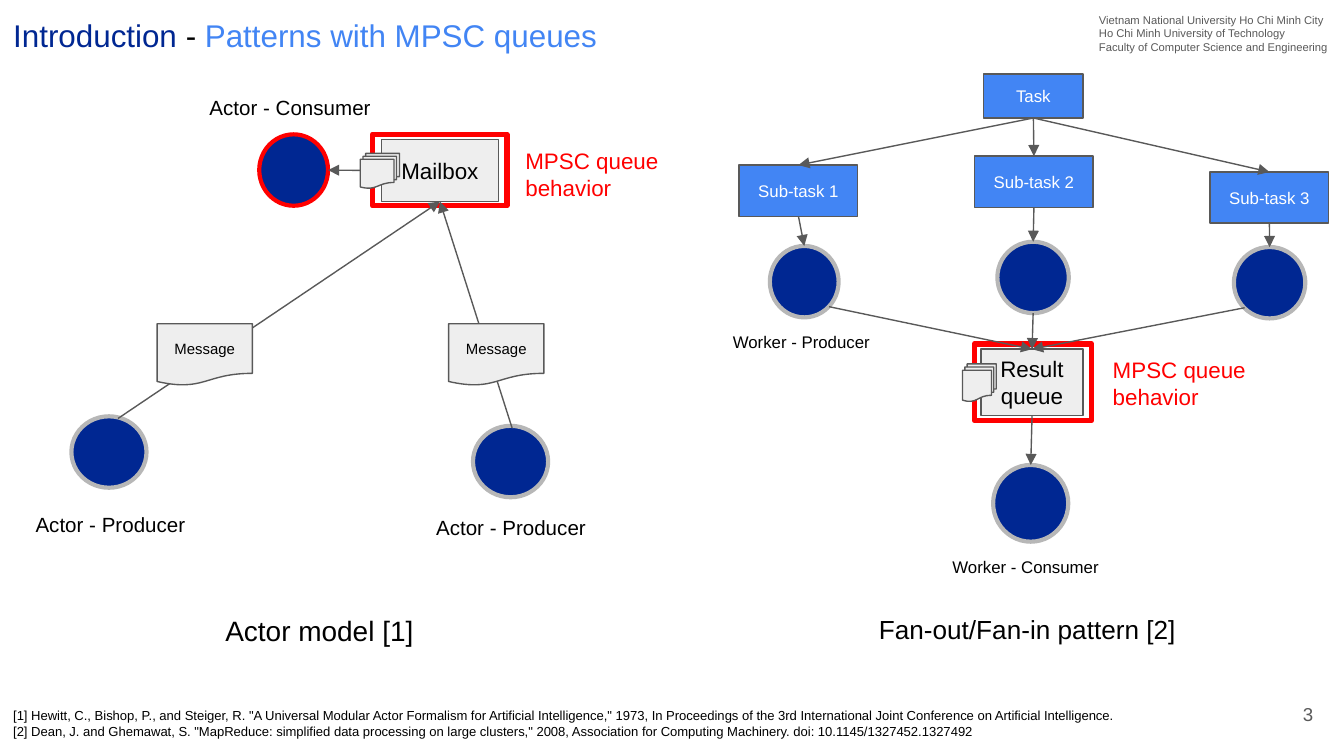
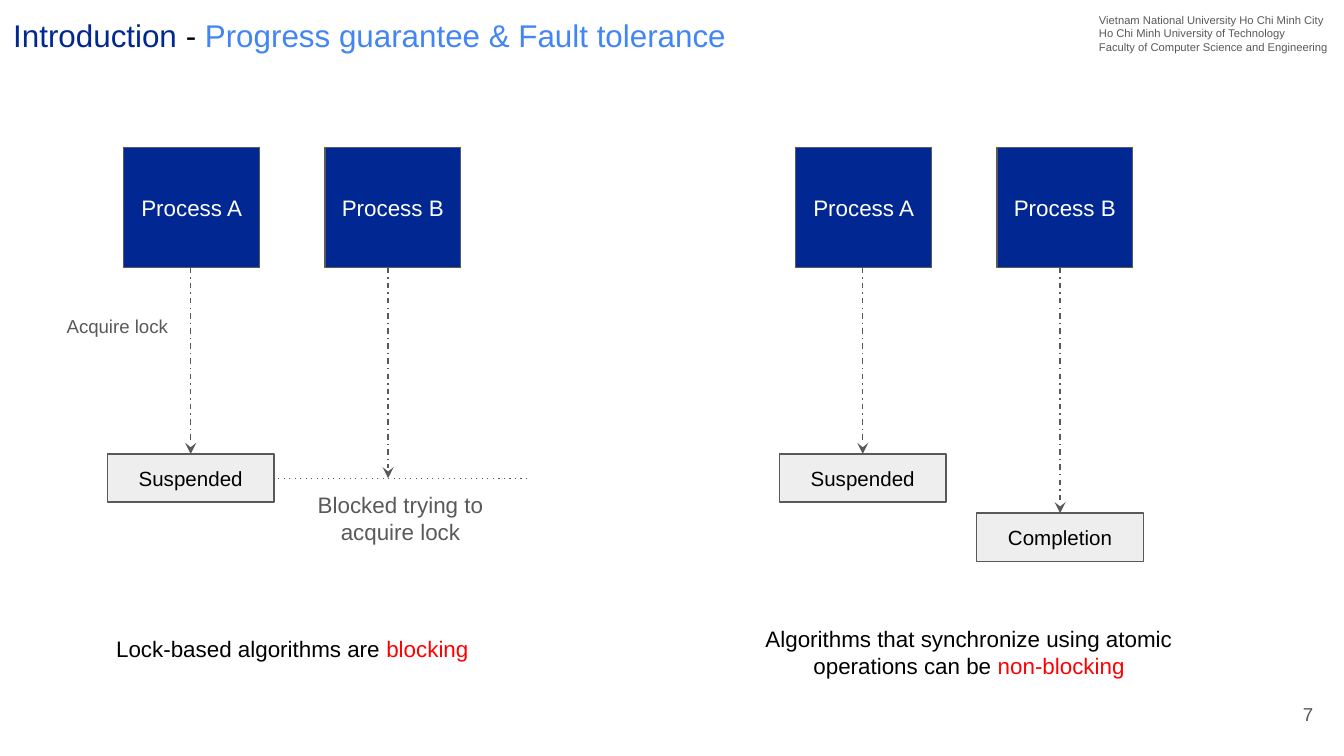
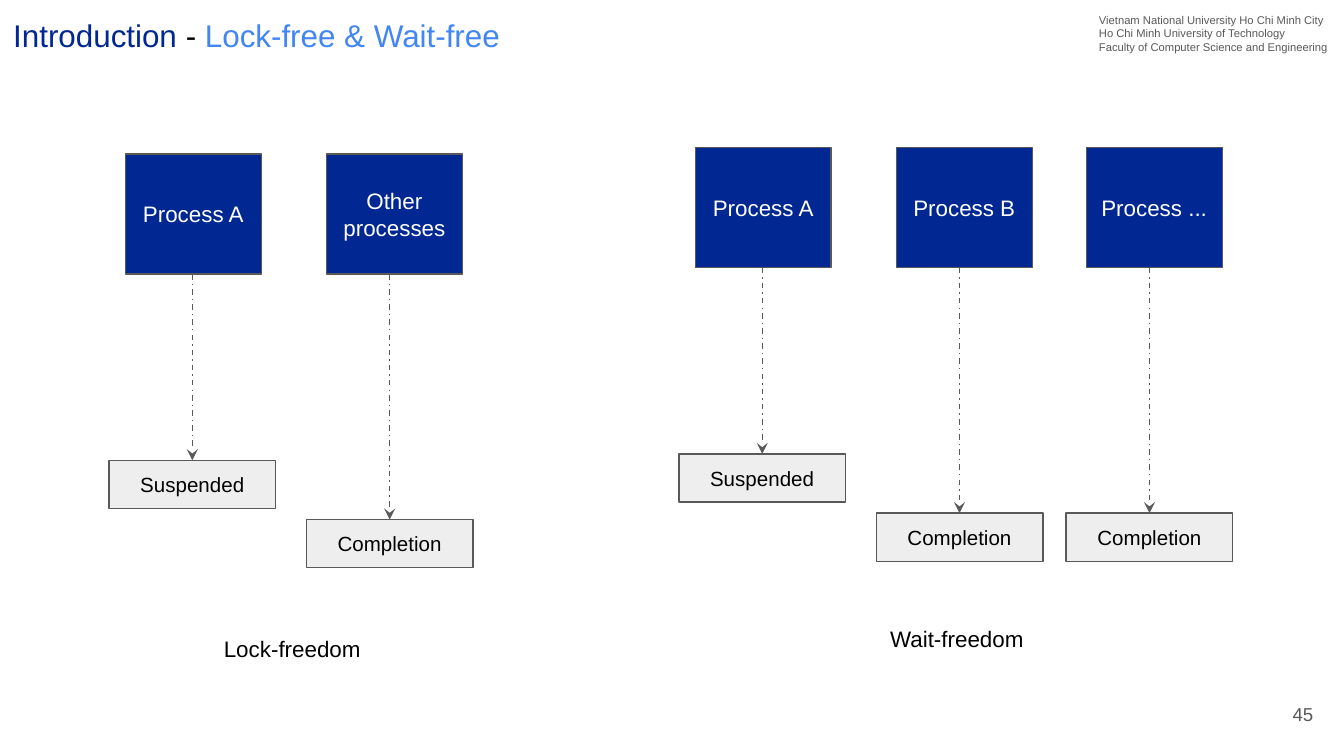
import dataclasses

import pptx
import pptx.dml.color
import pptx.enum.shapes
import pptx.enum.text
import pptx.oxml.ns
import pptx.util
from lxml import etree

Cm = pptx.util.Cm
Pt = pptx.util.Pt
Kind = pptx.enum.shapes.MSO_SHAPE
Align = pptx.enum.text.PP_ALIGN
Anchor = pptx.enum.text.MSO_ANCHOR


def rgb(code):
    return pptx.dml.color.RGBColor.from_string(code)


@dataclasses.dataclass(frozen=True)
class Theme:
    font = "Arial"
    navy = rgb("002792")
    blue = rgb("4285F4")
    red = rgb("FF0000")
    ink = rgb("000000")
    slate = rgb("595959")
    silver = rgb("B7B7B7")
    mist = rgb("EEEEEE")
    white = rgb("FFFFFF")
    title = 16.8
    actor_caption = 15
    fan_caption = 14
    body = 12
    label = 11
    note = 10
    small = 9
    message = 8
    reference = 7
    header = 6
    hairline = 0.75
    ring = 2.25
    frame = 3
    inset = Cm(0.25)


THEME = Theme()


@dataclasses.dataclass(frozen=True)
class Box:
    left: float
    top: float
    width: float
    height: float

    def inside(self, left, top, width, height):
        return Box(self.left + left, self.top + top, width, height)

    def point(self, across, down):
        return self.left + across * self.width, self.top + down * self.height

    def lengths(self):
        return [Cm(value) for value in dataclasses.astuple(self)]


def set_values(target, values):
    for name, value in values.items():
        setattr(target, name, value)


def write(shape, paragraphs, size, color, align, anchor):
    frame = shape.text_frame
    set_values(frame, {
        "word_wrap": True, "vertical_anchor": anchor,
        "margin_left": THEME.inset, "margin_right": THEME.inset,
        "margin_top": THEME.inset, "margin_bottom": THEME.inset,
    })
    for index, parts in enumerate(paragraphs):
        para = frame.add_paragraph() if index else frame.paragraphs[0]
        para.alignment = align
        for part in [(parts, color)] if isinstance(parts, str) else parts:
            span = para.add_run()
            span.text = part[0]
            set_values(span.font, {"name": THEME.font, "size": Pt(size)})
            span.font.color.rgb = part[1]


def add_text(page, box, paragraphs, size, color=THEME.ink, align=Align.LEFT, anchor=Anchor.TOP):
    write(page.shapes.add_textbox(*box.lengths()), paragraphs, size, color, align, anchor)


def add_block(page, box, kind=Kind.RECTANGLE, fill=THEME.mist, line=THEME.slate,
              weight=THEME.hairline, paragraphs=(), size=THEME.body, color=THEME.ink):
    shape = page.shapes.add_shape(kind, *box.lengths())
    shape.shadow.inherit = False
    if fill is None:
        shape.fill.background()
    else:
        shape.fill.solid()
        shape.fill.fore_color.rgb = fill
    shape.line.color.rgb = line
    shape.line.width = Pt(weight)
    if paragraphs:
        write(shape, paragraphs, size, color, Align.CENTER, Anchor.MIDDLE)


def add_actor(page, box, ring=THEME.silver):
    add_block(page, box, Kind.OVAL, THEME.navy, ring, THEME.ring)


def add_frame(page, box):
    add_block(page, box, fill=None, line=THEME.red, weight=THEME.frame)


def add_line(page, start, end, head="triangle", dash=None):
    connector = page.shapes.add_connector(
        pptx.enum.shapes.MSO_CONNECTOR.STRAIGHT, *[Cm(value) for value in start + end])
    connector.line.color.rgb = THEME.slate
    connector.line.width = Pt(THEME.hairline)
    outline = connector.line._get_or_add_ln()
    qualify = pptx.oxml.ns.qn
    if dash:
        etree.SubElement(outline, qualify("a:prstDash")).set("val", dash)
    if head:
        etree.SubElement(outline, qualify("a:tailEnd")).set("type", head)
    etree.SubElement(connector._element.spPr, qualify("a:effectLst"))


def add_page(deck, topic, number):
    page = deck.slides.add_slide(deck.slide_layouts[6])
    title = [("Introduction ", THEME.navy), ("- ", THEME.ink), (topic, THEME.blue)]
    add_text(page, Box(0, 0, 18.19, 1.27), [title], THEME.title, anchor=Anchor.BOTTOM)
    add_text(page, Box(20.52, 0, 4.85, 1.27), [
        "Vietnam National University Ho Chi Minh City",
        "Ho Chi Minh University of Technology",
        "Faculty of Computer Science and Engineering",
    ], THEME.header, THEME.slate)
    add_text(page, Box(23.55, 12.95, 1.52, 1.09), [str(number)], THEME.note, THEME.slate,
             Align.RIGHT, Anchor.MIDDLE)
    return page


def draw_actor_model(page, box):
    consumer = box.inside(4.9, 1.04, 1.3, 1.35)
    mailbox = box.inside(7.21, 1.14, 2.21, 1.17)
    add_frame(page, box.inside(7.04, 1.04, 2.54, 1.35))
    add_actor(page, consumer, THEME.red)
    producers = [
        (box.inside(1.35, 6.37, 1.42, 1.35), 0.62, box.inside(2.97, 4.62, 1.8, 1.17),
         box.inside(0.25, 7.95, 3.68, 0.99)),
        (box.inside(8.94, 6.55, 1.42, 1.35), 0.52, box.inside(8.48, 4.62, 1.8, 1.17),
         box.inside(7.82, 8, 3.68, 0.99)),
    ]
    for producer, exit_at, message, label in producers:
        add_actor(page, producer)
        add_line(page, producer.point(exit_at, 0.03), mailbox.point(0.5, 1))
        add_block(page, message, Kind.FLOWCHART_DOCUMENT, paragraphs=["Message"],
                  size=THEME.message)
        add_text(page, label, ["Actor - Producer"], THEME.label, align=Align.CENTER)
    add_line(page, mailbox.point(0, 0.5), consumer.point(1, 0.5))
    add_block(page, mailbox, paragraphs=["Mailbox"])
    add_block(page, box.inside(6.81, 1.4, 0.74, 0.66), Kind.FLOWCHART_MULTIDOCUMENT)
    add_text(page, box.inside(3.71, 0.07, 3.68, 0.99), ["Actor - Consumer"], THEME.label)
    add_text(page, box.inside(9.68, 1.04, 3.56, 1.55), ["MPSC queue behavior"],
             THEME.body, THEME.red)
    add_text(page, box.inside(4.01, 9.85, 4.98, 1.14), ["Actor model [1]"],
             THEME.actor_caption)


def draw_fan_pattern(page, box):
    task = box.inside(4.99, 0, 1.88, 0.83)
    queue = box.inside(4.94, 5.2, 1.93, 1.25)
    consumer = box.inside(5.17, 7.39, 1.42, 1.45)
    add_frame(page, box.inside(4.82, 5.1, 2.21, 1.45))
    add_block(page, task, fill=THEME.blue, paragraphs=["Task"], size=THEME.small,
              color=THEME.white)
    add_block(page, queue, paragraphs=["Result", "queue"])
    add_block(page, box.inside(4.59, 5.48, 0.64, 0.71), Kind.FLOWCHART_MULTIDOCUMENT)
    add_actor(page, consumer)
    branches = [
        (1.72, box.inside(0.95, 3.25, 1.3, 1.35), (0.86, 0.85)),
        (1.55, box.inside(5.25, 3.17, 1.35, 1.35), (0.5, 1)),
        (1.85, box.inside(9.72, 3.27, 1.35, 1.35), (0.15, 0.85)),
    ]
    for index, (top, worker, exit_at) in enumerate(branches):
        subtask = box.inside(0.37 + 4.45 * index, top, 2.24, 0.97)
        add_block(page, subtask, fill=THEME.blue, paragraphs=[f"Sub-task {index + 1}"],
                  size=THEME.small, color=THEME.white)
        add_actor(page, worker)
        add_line(page, task.point(0.5, 1), subtask.point(0.5, 0))
        add_line(page, subtask.point(0.5, 1), worker.point(0.5, 0))
        add_line(page, worker.point(*exit_at), queue.point(0.5, 0))
    add_line(page, queue.point(0.5, 1), consumer.point(0.5, 0))
    add_text(page, box.inside(0, 4.67, 3.23, 0.89), ["Worker - Producer"], THEME.small)
    add_text(page, box.inside(4.15, 8.94, 3.56, 0.89), ["Worker - Consumer"], THEME.small)
    add_text(page, box.inside(7.18, 5.08, 3.07, 1.55), ["MPSC queue behavior"],
             THEME.body, THEME.red)
    add_text(page, box.inside(2.76, 9.95, 7.19, 1.12), ["Fan-out/Fan-in pattern [2]"],
             THEME.fan_caption)


def draw_references(page, box):
    add_text(page, box, [
        '[1] Hewitt, C., Bishop, P., and Steiger, R. "A Universal Modular Actor Formalism for '
        'Artificial Intelligence," 1973, In Proceedings of the 3rd International Joint '
        'Conference on Artificial Intelligence.',
        '[2] Dean, J. and Ghemawat, S. "MapReduce: simplified data processing on large '
        'clusters," 2008, Association for Computing Machinery. doi: 10.1145/1327452.1327492',
    ], THEME.reference)


OUTCOME_TOPS = {"Suspended": 5.79, "Blocked": 6.25, "Completion": 6.91}
COLUMN_LEFTS = (0, 3.73, 7.32)


def draw_processes(page, box, processes):
    for index, (name, outcome) in enumerate(processes):
        left = COLUMN_LEFTS[index]
        process = box.inside(left + (0.38 if index else 0.31), 0, 2.57, 2.27)
        result = box.inside(left, OUTCOME_TOPS[outcome], 3.15, 0.91)
        add_block(page, process, fill=THEME.navy, paragraphs=[name], color=THEME.white)
        middle, top = result.point(0.5, 0)
        add_line(page, (middle, process.point(0, 1)[1]), (middle, top), "stealth", "dashDot")
        if outcome != "Blocked":
            add_block(page, result, paragraphs=[outcome], size=THEME.label)


def draw_lock_notes(page, box):
    blocked = box.inside(3.15, OUTCOME_TOPS["Blocked"], 4.78, 1.55)
    add_line(page, blocked.point(1, 0), blocked.point(0, 0), None, "dot")
    add_text(page, blocked, ["Blocked trying to acquire lock"], THEME.body, THEME.slate,
             Align.CENTER)
    add_text(page, box.inside(-1.02, 2.95, 2.49, 0.94), ["Acquire lock"], THEME.note,
             THEME.slate)


def draw_caption(page, box, text, stress=""):
    parts = [(text, THEME.ink)] + ([(stress, THEME.red)] if stress else [])
    add_text(page, box, [parts], THEME.body, align=Align.CENTER)


def main():
    deck = pptx.Presentation()
    set_values(deck, {"slide_width": Cm(25.4), "slide_height": Cm(14.29)})

    page = add_page(deck, "Patterns with MPSC queues", 3)
    draw_actor_model(page, Box(0, 1.5, 13.3, 11))
    draw_fan_pattern(page, Box(13.6, 1.4, 11.6, 11.1))
    draw_references(page, Box(0, 13.13, 25.4, 1.12))

    suspended = ("Process A", "Suspended")
    left_caption = Box(1.78, 11.76, 7.49, 1.02)

    page = add_page(deck, "Progress guarantee & Fault tolerance", 7)
    blocking = Box(2.03, 2.79, 8, 7.9)
    draw_processes(page, blocking, [suspended, ("Process B", "Blocked")])
    draw_lock_notes(page, blocking)
    draw_processes(page, Box(14.73, 2.79, 6.9, 7.9),
                   [suspended, ("Process B", "Completion")])
    draw_caption(page, left_caption, "Lock-based algorithms are ", "blocking")
    draw_caption(page, Box(13.69, 11.56, 9.25, 1.55),
                 "Algorithms that synchronize using atomic operations can be ", "non-blocking")

    page = add_page(deck, "Lock-free & Wait-free", 45)
    draw_processes(page, Box(2.06, 2.91, 6.9, 7.9),
                   [suspended, ("Other processes", "Completion")])
    draw_processes(page, Box(12.83, 2.79, 10.5, 7.9),
                   [suspended, ("Process B", "Completion"), ("Process ...", "Completion")])
    draw_caption(page, left_caption, "Lock-freedom")
    draw_caption(page, Box(13.46, 11.56, 9.25, 1.02), "Wait-freedom")

    deck.save("out.pptx")


if __name__ == "__main__":
    main()
